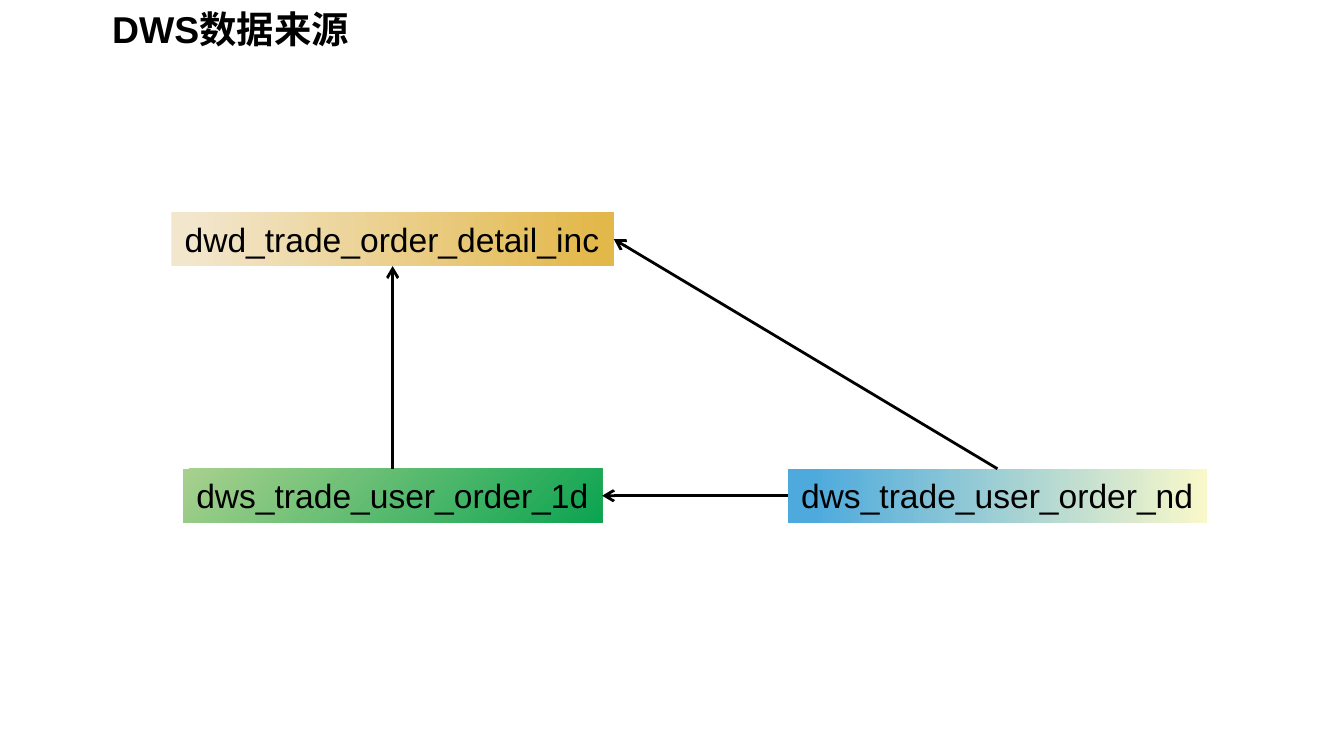
from lxml import etree
from pptx import Presentation
from pptx.dml.color import RGBColor
from pptx.enum.shapes import MSO_CONNECTOR, MSO_SHAPE
from pptx.enum.text import MSO_ANCHOR, MSO_AUTO_SIZE, PP_ALIGN
from pptx.oxml.ns import qn
from pptx.util import Cm, Pt

RECTANGLE, STRAIGHT = MSO_SHAPE.RECTANGLE, MSO_CONNECTOR.STRAIGHT
FIT_SHAPE = MSO_AUTO_SIZE.SHAPE_TO_FIT_TEXT
ANCHOR_TOP, ALIGN_LEFT = MSO_ANCHOR.TOP, PP_ALIGN.LEFT
TOP, LEFT, BOTTOM, RIGHT = range(4)  # connection sites of a rectangle

COLORS = {
    "black": "000000",
    "green": "0CA451", "light green": "A9D18E",
    "cream": "F2E6CD", "gold": "E3B84B",
    "blue": "4EAADD", "pale yellow": "F9F8CA",
}
TITLE = "DWS数据来源"
BOX_HEIGHT = 1.02
# name: left, top, width (cm), gradient stops, radial from bottom right
TABLES = {
    "dws_trade_user_order_1d":
        (3.46, 8.86, 7.92, [(0, "green"), (1, "light green")], True),
    "dwd_trade_order_detail_inc":
        (3.24, 4.01, 8.36, [(0.04, "cream"), (0.97, "gold")], False),
    "dws_trade_user_order_nd":
        (14.89, 8.86, 7.92, [(0.06, "blue"), (1, "pale yellow")], False),
}
# table, side it leaves, source table, side it reaches
SOURCES = [
    ("dws_trade_user_order_1d", TOP, "dwd_trade_order_detail_inc", BOTTOM),
    ("dws_trade_user_order_nd", TOP, "dwd_trade_order_detail_inc", RIGHT),
    ("dws_trade_user_order_nd", LEFT, "dws_trade_user_order_1d", RIGHT),
]


def rgb(name):
    return RGBColor.from_string(COLORS[name])


def write(shape, text, size=18, bold=False, wrap=False):
    frame = shape.text_frame
    frame.word_wrap = wrap
    frame.auto_size = FIT_SHAPE
    frame.vertical_anchor = ANCHOR_TOP
    paragraph = frame.paragraphs[0]
    paragraph.alignment = ALIGN_LEFT
    run = paragraph.add_run()
    run.text = text
    run.font.name = "Arial"
    run.font.size = Pt(size)
    run.font.bold = bold
    run.font.color.rgb = rgb("black")


def paint_gradient(shape, stops, radial):
    shape.fill.gradient()
    shape.fill.gradient_angle = 0
    for stop, (position, color) in zip(shape.fill.gradient_stops, stops):
        stop.position = position
        stop.color.rgb = rgb(color)
    if radial:
        linear = shape.fill._xPr.find(".//" + qn("a:lin"))
        circle = etree.Element(qn("a:path"), path="circle")
        etree.SubElement(circle, qn("a:fillToRect"), l="100000", t="100000")
        linear.getparent().replace(linear, circle)


prs = Presentation()
prs.slide_width, prs.slide_height = Cm(25.4), Cm(14.29)
slide = prs.slides.add_slide(prs.slide_layouts[6])

# Title
title = slide.shapes.add_textbox(Cm(1.87), Cm(0), Cm(4.98), Cm(1.11))
write(title, TITLE, size=20, bold=True, wrap=True)

# Table boxes
boxes = {}
for name, (left, top, width, stops, radial) in TABLES.items():
    box = slide.shapes.add_shape(
        RECTANGLE, Cm(left), Cm(top), Cm(width), Cm(BOX_HEIGHT))
    box.shadow.inherit = False
    box.line.fill.background()
    paint_gradient(box, stops, radial)
    write(box, name)
    boxes[name] = box

# Arrows to the source tables
for table, start_side, source, end_side in SOURCES:
    arrow = slide.shapes.add_connector(STRAIGHT, 0, 0, 0, 0)
    arrow.begin_connect(boxes[table], start_side)
    arrow.end_connect(boxes[source], end_side)
    arrow.line.color.rgb = rgb("black")
    arrow.line.width = Pt(1.5)
    etree.SubElement(arrow.line._get_or_add_ln(), qn("a:tailEnd"), type="arrow")
    etree.SubElement(arrow._element.spPr, qn("a:effectLst"))

prs.save("out.pptx")
